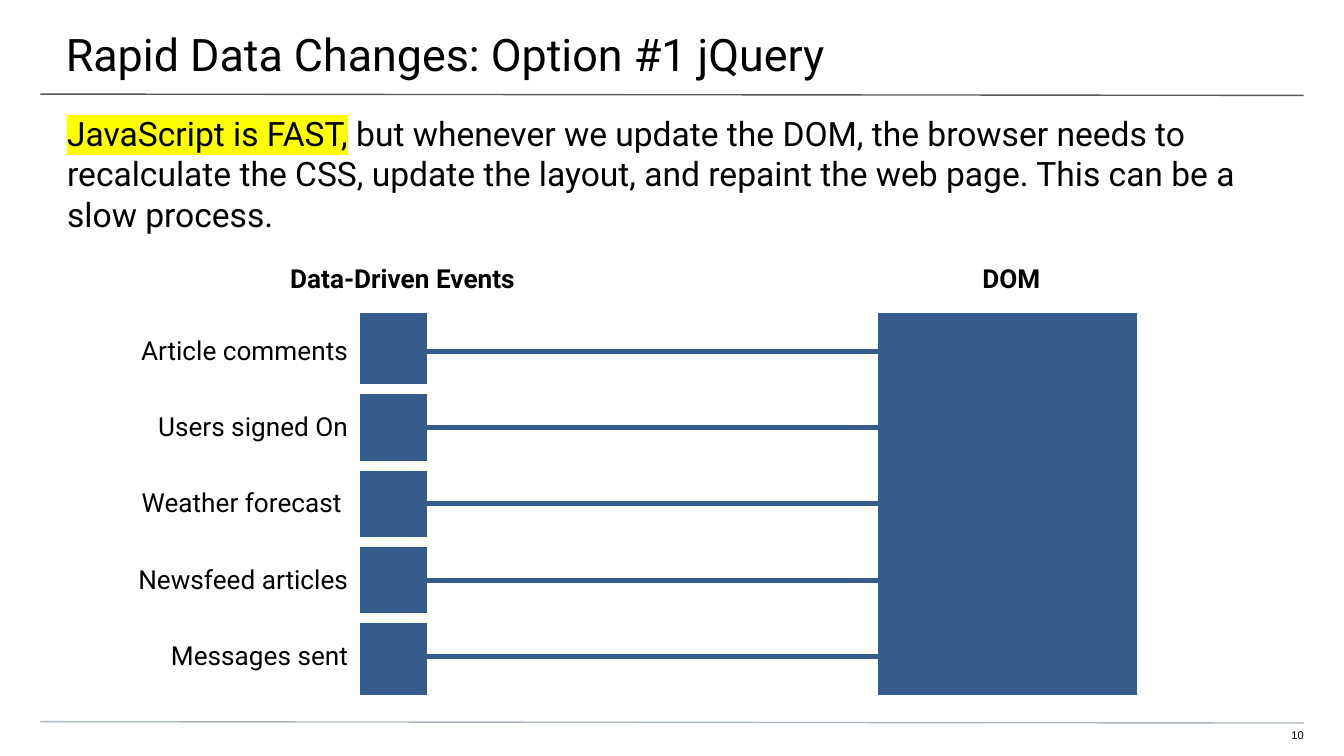
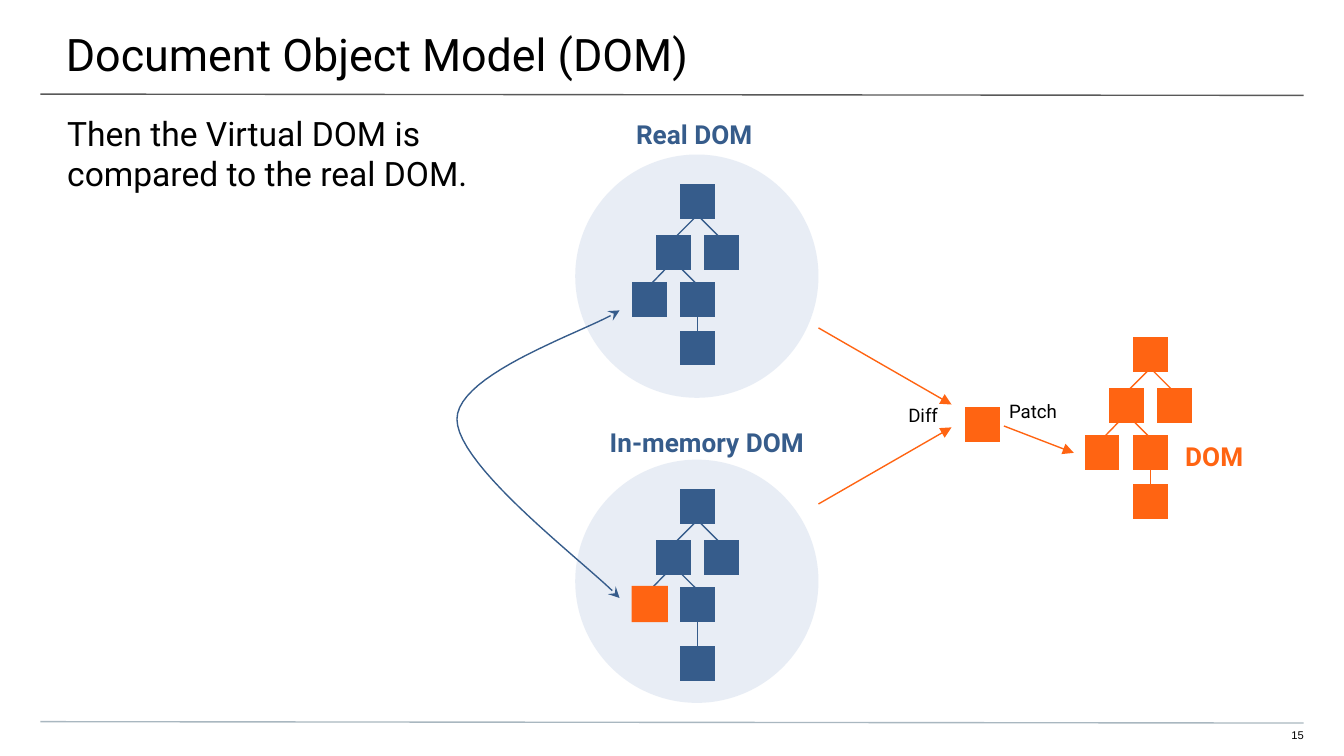
from lxml import etree
from pptx import Presentation
from pptx.dml.color import RGBColor
from pptx.enum.shapes import MSO_CONNECTOR, MSO_SHAPE
from pptx.enum.text import MSO_ANCHOR, PP_ALIGN
from pptx.oxml.ns import qn
from pptx.util import Inches, Pt

BLACK = RGBColor(0x00, 0x00, 0x00)
WHITE = RGBColor(0xFF, 0xFF, 0xFF)
BLUE = RGBColor(0x36, 0x5C, 0x8B)
PALE_BLUE = RGBColor(0xAF, 0xC0, 0xDC)
ORANGE = RGBColor(0xFF, 0x64, 0x12)
YELLOW = RGBColor(0xFF, 0xFF, 0x00)
TITLE_RULE = RGBColor(0x59, 0x59, 0x59)
FOOTER_RULE = RGBColor(0xA9, 0xB7, 0xC0)

LEFT, CENTER, RIGHT = PP_ALIGN.LEFT, PP_ALIGN.CENTER, PP_ALIGN.RIGHT
MIDDLE = MSO_ANCHOR.MIDDLE
ELLIPSE, RECTANGLE = MSO_SHAPE.OVAL, MSO_SHAPE.RECTANGLE
PROCESS = MSO_SHAPE.FLOWCHART_PROCESS
STRAIGHT = MSO_CONNECTOR.STRAIGHT

FONT = "Roboto"
NO_TABLE_STYLE = "{2D5ABB26-0587-4C30-8999-92F81FD0307C}"
INSETS = (0.1, 0.1, 0.1, 0.1)
NODE_SIZE = 0.26
BRANCHES = [
    (0.06, 0.16, 0.34, 0.44),
    (0.16, 0.2, -0.12, 0.48),
    (-0.11, 0.51, 0.17, 0.79),
    (-0.02, 0.54, -0.3, 0.83),
    (0.13, 0.93, 0.13, 1.22),
]
EVENTS = [
    "Article comments",
    "Users signed On",
    "Weather forecast ",
    "Newsfeed articles",
    "Messages sent",
]


def add_color(parent, color, opacity=None):
    element = etree.SubElement(parent, qn("a:srgbClr"), val=str(color))
    if opacity is not None:
        etree.SubElement(element, qn("a:alpha"), val=str(opacity * 1000))


def bezier_points(start, first, second, end, steps=24):
    for step in range(1, steps + 1):
        t = step / steps
        u = 1 - t
        weights = (u**3, 3 * u * u * t, 3 * u * t * t, t**3)
        corners = (start, first, second, end)
        yield tuple(
            Inches(sum(w * corner[axis] for w, corner in zip(weights, corners)))
            for axis in (0, 1)
        )


class Deck:
    def __init__(self):
        self.presentation = Presentation()
        self.presentation.slide_width = Inches(10)
        self.presentation.slide_height = Inches(10) * 9 // 16
        self.slide = None

    def add_slide(self, title, number):
        layout = self.presentation.slide_layouts[6]
        self.slide = self.presentation.slides.add_slide(layout)
        self.line(0.3, 0.7, 9.7, 0.71, TITLE_RULE)
        self.line(0.3, 5.37, 9.7, 5.38, FOOTER_RULE)
        self.text(-0.01, 0, 10.03, 0.58, [title], 24, insets=(0.5, 0.2, 0.3, 0.1))
        self.text(9.41, 5.42, 0.29, 0.12, [str(number)], 6, align=RIGHT,
                  insets=(0, 0, 0, 0.1), font="Arial")

    def style(self, paragraph, size, color=BLACK, bold=False, align=LEFT, font=FONT):
        paragraph.alignment = align
        paragraph.font.name = font
        paragraph.font.size = Pt(size)
        paragraph.font.bold = bold
        paragraph.font.color.rgb = color

    def text(self, left, top, width, height, runs, size, color=BLACK, bold=False,
             align=LEFT, insets=INSETS, font=FONT):
        shape = self.slide.shapes.add_textbox(
            Inches(left), Inches(top), Inches(width), Inches(height))
        frame = shape.text_frame
        frame.word_wrap = True
        frame.margin_left, frame.margin_top, frame.margin_right, frame.margin_bottom = (
            Inches(inset) for inset in insets)
        paragraph = frame.paragraphs[0]
        self.style(paragraph, size, color, bold, align, font)
        for text in runs:
            paragraph.add_run().text = text
        return paragraph

    def body(self, width, height, runs):
        return self.text(0, 0.74, width, height, runs, 18, insets=(0.5, 0.1, 0.5, 0))

    def heading(self, left, top, width, height, text, color=BLACK, align=CENTER):
        self.text(left, top, width, height, [text], 14, color, True, align)

    def highlight(self, run, color):
        mark = etree.SubElement(run._r.get_or_add_rPr(), qn("a:highlight"))
        add_color(mark, color)

    def shape(self, kind, left, top, width, height, color, opacity=None):
        shape = self.slide.shapes.add_shape(
            kind, Inches(left), Inches(top), Inches(width), Inches(height))
        shape.shadow.inherit = False
        shape.fill.solid()
        shape.fill.fore_color.rgb = color
        shape.line.fill.background()
        if opacity is not None:
            solid = shape.element.spPr.find(qn("a:solidFill"))
            etree.SubElement(solid[0], qn("a:alpha"), val=str(opacity * 1000))

    def outline(self, shape, color, head=None, tail=None):
        shape.line.color.rgb = color
        shape.line.width = Pt(0.75)
        line = shape.element.spPr.find(qn("a:ln"))
        for tag, arrow in (("a:headEnd", head), ("a:tailEnd", tail)):
            if arrow:
                etree.SubElement(line, qn(tag), type=arrow)

    def line(self, x1, y1, x2, y2, color, tail=None):
        connector = self.slide.shapes.add_connector(
            STRAIGHT, Inches(x1), Inches(y1), Inches(x2), Inches(y2))
        self.outline(connector, color, tail=tail)
        etree.SubElement(connector.element.spPr, qn("a:effectLst"))

    def curve(self, start, segments, color):
        builder = self.slide.shapes.build_freeform(Inches(start[0]), Inches(start[1]))
        for first, second, end in segments:
            builder.add_line_segments(
                bezier_points(start, first, second, end), close=False)
            start = end
        shape = builder.convert_to_shape()
        shape.shadow.inherit = False
        shape.fill.background()
        self.outline(shape, color, head="stealth", tail="stealth")

    def node(self, left, top, color):
        self.shape(PROCESS, left, top, NODE_SIZE, NODE_SIZE, color)

    def tree(self, left, top, color, last_drop=1.09, changed_leaf=False):
        for x1, y1, x2, y2 in BRANCHES:
            self.line(left + x1, top + y1, left + x2, top + y2, color)
        nodes = [(0, 0), (-0.18, 0.38), (0.18, 0.38), (0, 0.73), (0, last_drop)]
        for x, y in nodes:
            self.node(left + x, top + y, color)
        if changed_leaf:
            self.shape(RECTANGLE, left - 0.36, top + 0.72, 0.27, 0.27, ORANGE)
        else:
            self.node(left - 0.36, top + 0.73, color)

    def border(self, cell, side, color, width, opacity=None):
        line = etree.SubElement(
            cell._tc.get_or_add_tcPr(), qn(f"a:ln{side}"), w=str(Pt(width)))
        add_color(etree.SubElement(line, qn("a:solidFill")), color, opacity)

    def event_table(self, left, top, widths, row_height, events):
        rows = 2 * len(events)
        frame = self.slide.shapes.add_table(
            rows, len(widths), Inches(left), Inches(top),
            Inches(sum(widths)), Inches(rows * row_height))
        frame.element.find(".//" + qn("a:tableStyleId")).text = NO_TABLE_STYLE
        table = frame.table
        table.first_row = table.horz_banding = False
        for column, width in zip(table.columns, widths):
            column.width = Inches(width)
        for row in table.rows:
            row.height = Inches(row_height)

        for index, event in enumerate(events):
            upper, lower = 2 * index, 2 * index + 1
            for column in (0, 1):
                table.cell(upper, column).merge(table.cell(lower, column))
            table.cell(upper, 0).text = event
            if index > 0:
                self.border(table.cell(upper, 1), "T", WHITE, 6)
            if index < len(events) - 1:
                self.border(table.cell(upper, 1), "B", WHITE, 6)
            self.border(table.cell(upper, 2), "T", WHITE, 0.75, opacity=0)
            self.border(table.cell(upper, 2), "B", BLUE, 3)
            self.border(table.cell(lower, 2), "T", BLUE, 3)
            self.border(table.cell(lower, 2), "B", WHITE, 0.75, opacity=0)
        table.cell(0, 3).merge(table.cell(rows - 1, 3))

        for row in range(rows):
            for column in range(len(widths)):
                cell = table.cell(row, column)
                cell.margin_left = cell.margin_top = cell.margin_bottom = 0
                cell.margin_right = Inches(0.09)
                cell.vertical_anchor = MIDDLE
                self.style(cell.text_frame.paragraphs[0],
                           14 if cell.text else 8, align=RIGHT)
                if column in (1, 3):
                    cell.fill.solid()
                    cell.fill.fore_color.rgb = BLUE
                else:
                    cell.fill.background()


def build_jquery_slide(deck):
    deck.add_slide("Rapid Data Changes: Option #1 jQuery", 10)
    paragraph = deck.body(10, 0.4, [
        "JavaScript is FAST,",
        " but whenever we update the DOM, the browser needs to recalculate the CSS, "
        "update the layout, and repaint the web page. This can be a slow process.",
    ])
    deck.highlight(paragraph.runs[0], YELLOW)
    deck.heading(1.95, 1.85, 2.09, 0.4, "Data-Driven Events")
    deck.heading(6.54, 1.85, 1.97, 0.4, "DOM")
    deck.event_table(0.75, 2.33, (1.93, 0.5, 3.35, 1.93), 2.84 / 10, EVENTS)


def build_dom_slide(deck):
    deck.add_slide("Document Object Model (DOM)", 15)
    deck.body(4.22, 1.42, ["Then the Virtual DOM is compared to the real DOM."])
    for top in (1.15, 3.42):
        deck.shape(ELLIPSE, 4.28, top, 1.81, 1.81, PALE_BLUE, opacity=28)
    deck.heading(4.34, 0.78, 1.7, 0.38, "Real DOM ", BLUE)
    deck.heading(4.22, 3.07, 2.08, 0.38, "In-memory DOM", BLUE)
    deck.heading(8.72, 3.18, 0.98, 0.38, "DOM", ORANGE, LEFT)
    deck.tree(5.06, 1.37, BLUE)
    deck.tree(5.06, 3.64, BLUE, last_drop=1.17, changed_leaf=True)
    deck.tree(8.43, 2.51, ORANGE)
    deck.node(7.18, 3.03, ORANGE)
    for arrow in ((6.09, 2.44, 7.08, 3.01), (6.09, 3.75, 7.08, 3.18),
                  (7.47, 3.17, 7.99, 3.37)):
        deck.line(*arrow, ORANGE, tail="triangle")
    deck.text(7.41, 2.89, 0.98, 0.32, ["Patch"], 10)
    deck.text(6.66, 2.92, 0.45, 0.32, ["Diff"], 10)
    deck.curve((4.61, 2.31), [
        ((4.41, 2.45), (3.4, 2.77), (3.4, 3.12)),
        ((3.4, 3.48), (4.41, 4.23), (4.61, 4.45)),
    ], BLUE)


def main():
    deck = Deck()
    build_jquery_slide(deck)
    build_dom_slide(deck)
    deck.presentation.save("out.pptx")


if __name__ == "__main__":
    main()
